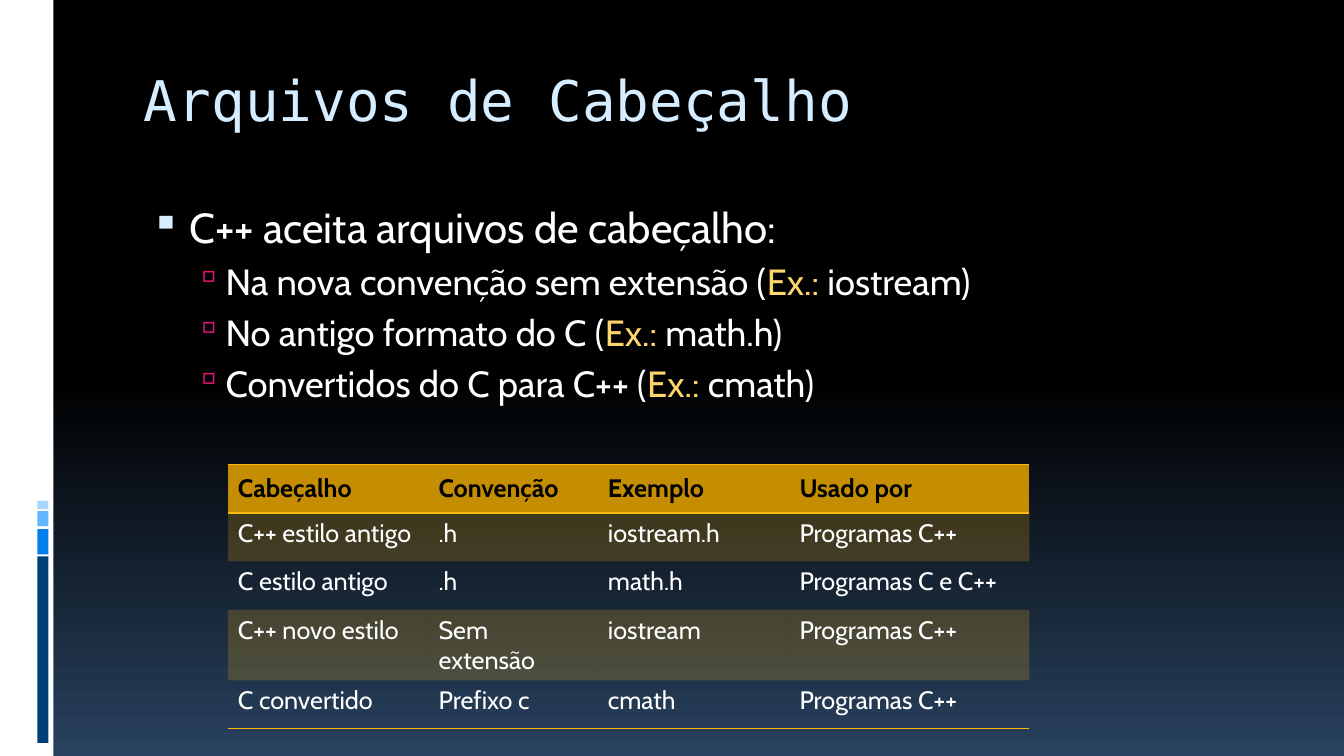
from lxml import etree
from pptx import Presentation
from pptx.dml.color import RGBColor as RGB
from pptx.enum.shapes import MSO_SHAPE as SHAPE
from pptx.enum.text import MSO_ANCHOR as ANCHOR
from pptx.oxml import parse_xml
from pptx.oxml.ns import nsdecls, qn
from pptx.util import Inches, Pt

C = {"white": "FFFFFF", "black": "000000", "navy": "28415E", "title": "D6ECFF",
     "example": "FED46C", "pink": "EA157A", "header": "C58D01", "gold": "FEB80A"}
FONT, MONO = "Cabin", "DejaVu Sans Mono"
NO_STYLE = "{2D5ABB26-0587-4C30-8999-92F81FD0307C}"


def add_run(p, text, size, color, font=FONT, bold=False):
    r = p.add_run()
    r.text = text
    r.font.size, r.font.name, r.font.bold = Pt(size), font, bold
    r.font.color.rgb = RGB.from_string(C[color])
    return r


def add_bullet(p, char, color, size, left, hang):
    pPr = p._p.get_or_add_pPr()
    pPr.set("marL", str(Inches(left)))
    pPr.set("indent", str(-Inches(hang)))
    for xml in (f'<a:buClr {nsdecls("a")}><a:srgbClr val="{C[color]}"/></a:buClr>',
                f'<a:buSzPct {nsdecls("a")} val="{size * 1000}"/>',
                f'<a:buChar {nsdecls("a")} char="{char}"/>'):
        pPr.append(parse_xml(xml))


prs = Presentation()
prs.slide_width, prs.slide_height = Inches(13.33), Inches(7.5)
s = prs.slides.add_slide(prs.slide_layouts[6])

# Background: black down to the middle, then fading to navy
fill = s.background.fill
fill.gradient()
fill.gradient_angle = 270
for stop, position, color in zip(fill.gradient_stops, (0.5, 1), ("black", "navy")):
    stop.position = position
    stop.color.rgb = RGB.from_string(C[color])

# White side strip and its blue bars
bars = [(0, 0, 0.53, 7.5, C["white"])]
bars += [(0.37, top, 0.11, height, color) for top, height, color in (
    (5.52, 1.85, "003F75"), (5.25, 0.25, "007EEB"),
    (5.07, 0.15, "61B6FF"), (4.97, 0.08, "A7D6FF"))]
for *box, color in bars:
    sp = s.shapes.add_shape(SHAPE.RECTANGLE, *map(Inches, box))
    sp.shadow.inherit = False
    sp.fill.solid()
    sp.fill.fore_color.rgb = RGB.from_string(color)
    sp.line.fill.background()

# Title
tf = s.shapes.add_textbox(*map(Inches, (1.33, 0.56, 11.33, 1))).text_frame
tf.word_wrap = True
tf.margin_top = Inches(0.09)
add_run(tf.paragraphs[0], "Arquivos de Cabeçalho", 40, "title", MONO)

# Table of header conventions
rows = [("Cabeçalho", "Convenção", "Exemplo", "Usado por"),
        ("C++ estilo antigo", ".h", "iostream.h", "Programas C++"),
        ("C estilo antigo", ".h", "math.h", "Programas C e C++"),
        ("C++ novo estilo", "Sem extensão", "iostream", "Programas C++"),
        ("C convertido", "Prefixo c", "cmath", "Programas C++")]
widths = (1.99, 1.68, 1.9, 2.38)
table = s.shapes.add_table(len(rows), len(widths), Inches(2.26), Inches(4.61),
                           Inches(sum(widths)), Inches(0.48 * len(rows))).table
table._tbl.tblPr.find(qn("a:tableStyleId")).text = NO_STYLE
for column, width in zip(table.columns, widths):
    column.width = Inches(width)
for i, row in enumerate(rows):
    is_header = i == 0
    edges = {0: ("lnT", "lnB"), len(rows) - 1: ("lnB",)}.get(i, ())
    for j, text in enumerate(row):
        cell = table.cell(i, j)
        add_run(cell.text_frame.paragraphs[0], text, 18,
                "black" if is_header else "white", bold=is_header)
        cell.vertical_anchor = ANCHOR.MIDDLE if is_header else ANCHOR.TOP
        if is_header or i % 2:
            cell.fill.solid()
            cell.fill.fore_color.rgb = RGB.from_string(C["header" if is_header else "gold"])
        else:
            cell.fill.background()
        tcPr = cell._tc.get_or_add_tcPr()
        if i % 2:
            tint = tcPr.find(".//" + qn("a:srgbClr"))
            etree.SubElement(tint, qn("a:alpha")).set("val", "20000")
        for k, edge in enumerate(edges):
            tcPr.insert(k, parse_xml(
                f'<a:{edge} {nsdecls("a")} w="{Pt(1)}"><a:solidFill>'
                f'<a:srgbClr val="{C["gold"]}"/></a:solidFill></a:{edge}>'))

# Bulleted text
tf = s.shapes.add_textbox(*map(Inches, (1.33, 1.95, 9.83, 2.66))).text_frame
tf.word_wrap = True
p = tf.paragraphs[0]
add_bullet(p, "▪", "title", 95, 0.45, 0.38)
add_run(p, "C++ aceita arquivos de cabeçalho:", 30, "white")
for text, example in (("Na nova convenção sem extensão (", "iostream)"),
                      ("No antigo formato do C (", "math.h)"),
                      ("Convertidos do C para C++ (", "cmath)")):
    p = tf.add_paragraph()
    p.level = 1
    add_bullet(p, "▫", "pink", 90, 0.81, 0.31)
    p.space_before = Pt(5.2)
    add_run(p, text, 26, "white")
    add_run(p, "Ex.: ", 26, "example")
    add_run(p, example, 26, "white")

prs.save("out.pptx")
